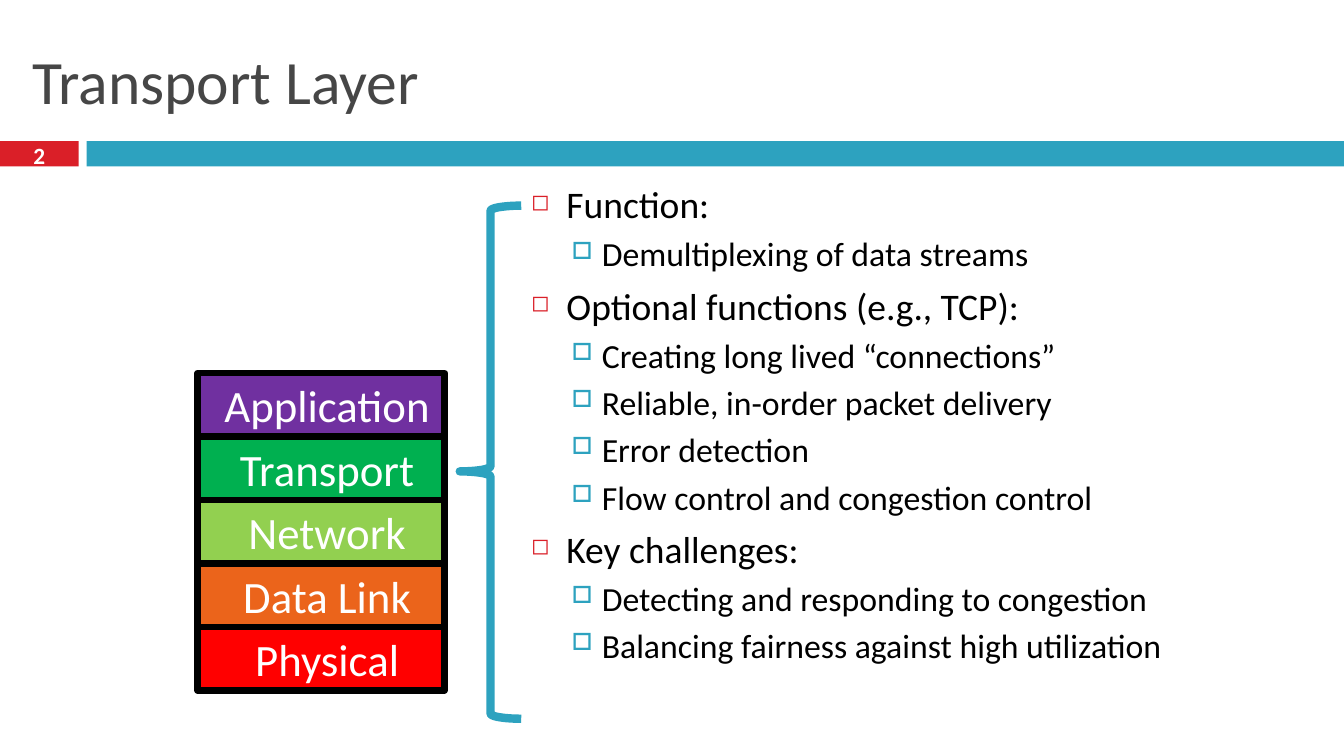
import pptx
import pptx.util
import pptx.dml.color
import pptx.enum.shapes
import pptx.enum.text
import pptx.oxml
import pptx.oxml.ns
from lxml import etree

Inches = pptx.util.Inches
Pt = pptx.util.Pt
RGB = pptx.dml.color.RGBColor.from_string
KIND = pptx.enum.shapes.MSO_SHAPE
ALIGN = pptx.enum.text.PP_ALIGN
ANCHOR = pptx.enum.text.MSO_ANCHOR

theme = {
    "font": "Calibri", "red": "DA1F28", "teal": "2DA2BF", "gray": "464646",
    "black": "000000", "white": "FFFFFF",
    "title": 44, "number": 16.6, "layer": 32, "point": 26.8, "detail": 24.1,
}

layers = [
    ("Application", "7030A0"),
    ("Transport", "00B050"),
    ("Network", "92D050"),
    ("Data Link", "EB641B"),
    ("Physical", "FF0000"),
]

points = [
    (0, "Function:"),
    (1, "Demultiplexing of data streams"),
    (0, "Optional functions (e.g., TCP):"),
    (1, "Creating long lived “connections”"),
    (1, "Reliable, in-order packet delivery"),
    (1, "Error detection"),
    (1, "Flow control and congestion control"),
    (0, "Key challenges:"),
    (1, "Detecting and responding to congestion"),
    (1, "Balancing fairness against high utilization"),
]

levels = [
    {"size": "point", "color": "red", "mark": "◻", "scale": 60,
     "left": 0.35, "hang": 0.35, "gap": 6.3},
    {"size": "detail", "color": "teal", "mark": "□", "scale": 70,
     "left": 0.7, "hang": 0.3, "gap": 4.9},
]


def style(para, size, color, bold=False):
    font = para.font
    for run in para.runs:
        font = run.font
        font.name = theme["font"]
        font.size = Pt(theme[size])
        font.bold = bold
        font.color.rgb = RGB(theme[color])


def block(kind, left, top, width, height, fill=None):
    shape = slide.shapes.add_shape(
        kind, Inches(left), Inches(top), Inches(width), Inches(height))
    shape.shadow.inherit = False
    shape.line.fill.background()
    if fill:
        shape.fill.solid()
        shape.fill.fore_color.rgb = RGB(fill)
    else:
        shape.fill.background()
    return shape


deck = pptx.Presentation()
deck.slide_width = Inches(13.33)
deck.slide_height = Inches(7.5)
slide = deck.slides.add_slide(deck.slide_layouts[6])

badge = block(KIND.RECTANGLE, 0, 1.4, 0.78, 0.25, theme["red"])
bar = block(KIND.RECTANGLE, 0.86, 1.4, 12.47, 0.25, theme["teal"])

title = slide.shapes.add_textbox(
    Inches(0.22), Inches(0.25), Inches(12.89), Inches(1.08))
title.text_frame.word_wrap = True
title.text_frame.vertical_anchor = ANCHOR.MIDDLE
title.text_frame.text = "Transport Layer"
style(title.text_frame.paragraphs[0], "title", "gray")

number = slide.shapes.add_textbox(
    Inches(0), Inches(1.37), Inches(0.78), Inches(0.33))
number.text_frame.word_wrap = True
number.text_frame.vertical_anchor = ANCHOR.MIDDLE
number.text_frame.text = "2"
number.text_frame.paragraphs[0].alignment = ALIGN.CENTER
style(number.text_frame.paragraphs[0], "number", "white", True)

body = slide.shapes.add_textbox(
    Inches(5.17), Inches(1.75), Inches(6.49), Inches(5.58))
frame = body.text_frame
frame.word_wrap = True
for index, (depth, text) in enumerate(points):
    level = levels[depth]
    para = frame.add_paragraph() if index else frame.paragraphs[0]
    para.text = text
    para.level = depth
    para.space_before = Pt(level["gap"] if index else 0)
    props = para._p.get_or_add_pPr()
    props.set("marL", str(Inches(level["left"])))
    props.set("indent", str(-Inches(level["hang"])))
    tint = etree.SubElement(props, pptx.oxml.ns.qn("a:buClr"))
    etree.SubElement(
        tint, pptx.oxml.ns.qn("a:srgbClr"), val=theme[level["color"]])
    etree.SubElement(
        props, pptx.oxml.ns.qn("a:buSzPct"), val=str(level["scale"] * 1000))
    etree.SubElement(
        props, pptx.oxml.ns.qn("a:buChar"), char=level["mark"])
    style(para, level["size"], "black")

step = 0.63
for index, (name, color) in enumerate(layers):
    layer = block(KIND.RECTANGLE, 1.96, 3.7 + index * step, 2.45, step, color)
    layer.line.color.rgb = RGB(theme["black"])
    layer.line.width = Pt(4.5)
    layer.text_frame.vertical_anchor = ANCHOR.TOP
    layer.text_frame.text = name
    para = layer.text_frame.paragraphs[0]
    para.alignment = ALIGN.CENTER
    para._p.get_or_add_pPr().set("marL", str(Inches(0.12)))
    style(para, "layer", "white")

brace = block(KIND.LEFT_BRACE, 4.56, 2.04, 0.61, 5.09)
brace.adjustments[0] = 0.083
brace.adjustments[1] = 0.518
brace.line.color.rgb = RGB(theme["teal"])
brace.line.width = Pt(6)

deck.save("out.pptx")
